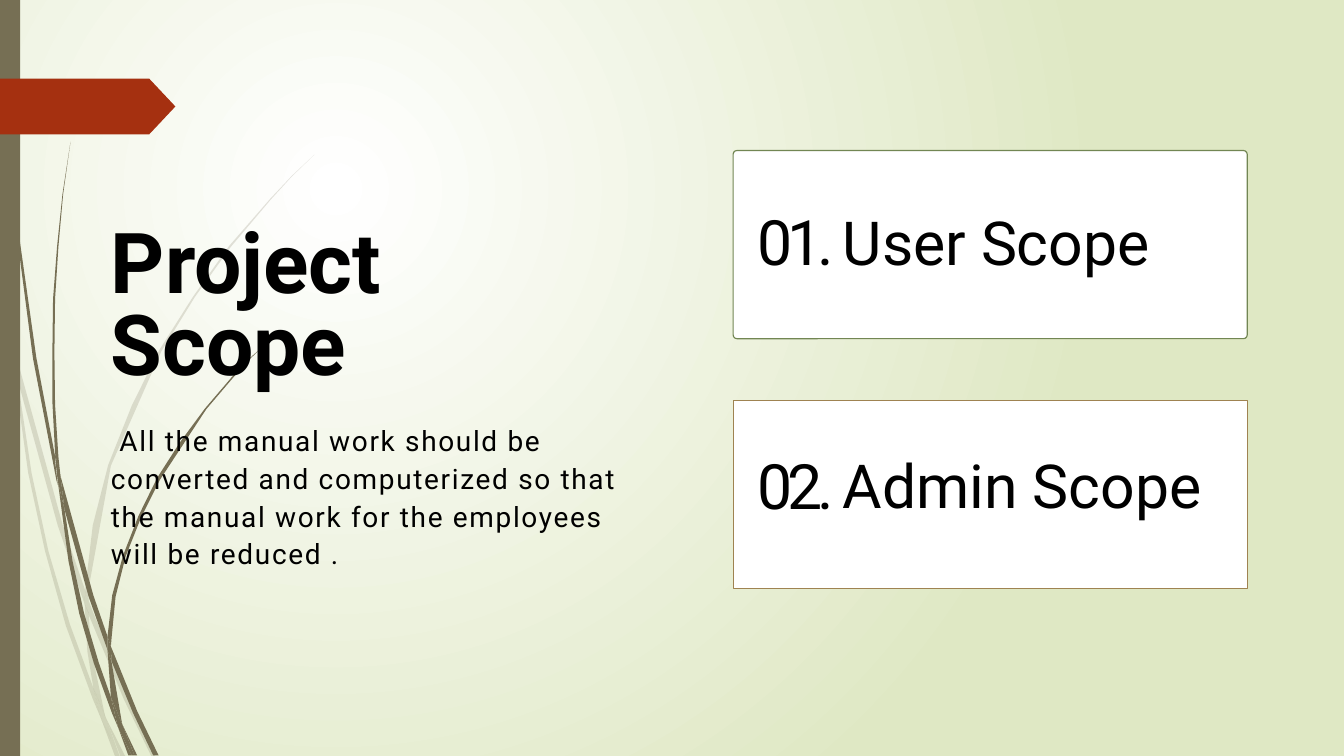
from lxml import etree
from pptx import Presentation
from pptx import util as u
from pptx.dml.color import RGBColor
from pptx.enum import shapes, text
from pptx.oxml.ns import qn

WHITE = RGBColor(0xFF, 0xFF, 0xFF)
BLACK = RGBColor(0x00, 0x00, 0x00)
PALE_GREEN = RGBColor(0xDF, 0xE8, 0xC4)
OLIVE = RGBColor(0x76, 0x6F, 0x54)
RUST = RGBColor(0xA5, 0x30, 0x10)
GREEN_EDGE = RGBColor(0x72, 0x86, 0x53)
BROWN_EDGE = RGBColor(0x9F, 0x83, 0x51)

FONT = "Roboto"
COLS, ROWS = 20, 11.25  # grid of the slide

# Outlines of the grass blades, "column,row" points on the grid
FAINT_BLADES = [
    "0.17,5.25 0.13,4.83 0,4.22 0,4.49 0.15,5.16",
    "0.86,7.82 1.26,8.99 1.27,8.79 0.93,7.8 0.21,5.18 0.26,5.64",
    "1.38,9.1 1.32,8.94 1.32,9.15 1.84,10.4 2.25,11.25 2.31,11.25 1.91,10.37",
    "1.79,11.25 1.86,11.25 1.57,10.67",
    "1.39,10.24 1.04,9.29 0.72,8.2 0.47,7.04 0.26,5.64 0.17,5.25 0.42,7.04 "
    "0.67,8.2 0.98,9.31 1.38,10.4 1.51,10.71 1.48,10.61",
    "1.26,8.99 1.3,9.69 1.39,10.24 1.45,10.38 1.57,10.67 1.55,10.59 1.36,9.68 "
    "1.32,9.15 1.32,9.12",
    "1.32,8.75 1.65,6.93 2.4,5.23 2.9,4.42 3.43,3.68 4.03,2.97 4.34,2.63 4.68,2.3 "
    "4.34,2.62 4.02,2.96 3.41,3.66 2.87,4.42 2.37,5.21 1.96,6.04 1.61,6.92 "
    "1.38,7.82 1.27,8.75 1.27,8.79 1.32,8.94",
    "1.51,10.71 1.71,11.25 1.78,11.25",
    "1.32,9.13 1.32,9.16 1.32,8.94 1.27,8.79 1.26,8.99",
    "1.45,10.38 1.39,10.24 1.48,10.61 1.51,10.71 1.78,11.25 1.57,10.67",
]
DARK_BLADES = [
    "0.1,1.65 0.25,3.49 0.49,5.33 0.84,7.15 0.86,7.22 0.82,6.86 0.82,6.79 "
    "0.54,5.32 0.28,3.48 0.12,1.64 0.07,0.72 0.05,0 0.04,0 0.05,0.72",
    "1.32,8.88 1.6,9.67 1.6,9.5 1.6,9.47 1.39,8.86 0.9,7.08 0.96,7.58",
    "1.7,9.74 1.65,9.62 1.66,9.84 1.98,10.61 2.28,11.24 2.36,11.24 2.04,10.58",
    "1.65,10.37 1.47,9.86 1.25,9.12 1.08,8.35 0.96,7.58 0.86,7.16 1.02,8.35 "
    "1.18,9.13 1.4,9.88 1.67,10.62 1.76,10.83 1.74,10.76",
    "0.9,7.08 0.87,6.8 0.82,6.02 0.81,5.24 0.82,4.45 0.87,3.67 0.94,2.89 1.05,2.11 "
    "0.93,2.89 0.85,3.67 0.79,4.45 0.78,5.24 0.78,5.98 0.82,6.74 0.89,7.07",
    "2,11.24 2.04,11.24 1.82,10.78",
    "0.86,7.16 0.96,7.58 0.9,7.08 0.82,6.74 0.82,6.8",
    "1.66,9.5 1.72,8.88 1.87,8.28 2.1,7.7 2.38,7.14 3.07,6.09 3.47,5.62 3.68,5.38 "
    "3.91,5.16 3.67,5.37 3.46,5.6 3.05,6.08 2.68,6.58 2.34,7.11 2.06,7.68 "
    "1.83,8.27 1.67,8.86 1.6,9.47 1.65,9.62",
    "1.76,10.83 1.91,11.24 1.96,11.24",
    "1.6,9.67 1.65,10.37 1.74,10.59 1.82,10.78 1.81,10.73 1.66,9.85 1.63,9.76",
    "1.6,9.67 1.63,9.76 1.66,9.84 1.65,9.62 1.6,9.47 1.6,9.5",
    "1.74,10.59 1.65,10.37 1.74,10.76 1.76,10.83 1.96,11.24 2,11.24 1.82,10.78",
]


class Deck:
    """Holds the style and the current slide."""

    def __init__(self):
        self.prs = Presentation()
        self.prs.slide_width = u.Inches(20)
        self.prs.slide_height = u.Inches(11.25)
        self.s = self.prs.slides.add_slide(self.prs.slide_layouts[6])

    def x(self, cols):
        return round(self.prs.slide_width * cols / COLS)

    def y(self, rows):
        return round(self.prs.slide_height * rows / ROWS)

    def box(self, left, top, width, height):
        return self.x(left), self.y(top), self.x(width), self.y(height)

    def background(self, inner, outer):
        fill = self.s.background.fill
        fill.gradient()
        for stop, color in zip(fill.gradient_stops, (inner, outer)):
            stop.color.rgb = color
        grad = next(self.s.element.iter(qn("a:gradFill")))
        grad.remove(grad.find(qn("a:lin")))
        circle = etree.SubElement(grad, qn("a:path"), path="circle")
        etree.SubElement(circle, qn("a:fillToRect"),
                         l="50000", t="50000", r="100000", b="100000")

    def paint(self, sp, fill, line=None, alpha=None):
        sp.shadow.inherit = False
        sp.fill.solid()
        sp.fill.fore_color.rgb = fill
        if alpha:
            color = next(sp.element.spPr.iter(qn("a:srgbClr")))
            etree.SubElement(color, qn("a:alpha"), val=str(alpha * 1000))
        if line:
            sp.line.color.rgb = line
            sp.line.width = u.Pt(1.25)
        else:
            sp.line.fill.background()

    def shape(self, kind, area, fill, line=None, adjust=None):
        sp = self.s.shapes.add_shape(kind, *self.box(*area))
        if adjust is not None:
            sp.adjustments[0] = adjust
        self.paint(sp, fill, line)

    def blade(self, outline, alpha=None):
        pairs = [point.split(",") for point in outline.split()]
        points = [(self.x(float(a)), self.y(float(b))) for a, b in pairs]
        builder = self.s.shapes.build_freeform(*points[0])
        builder.add_line_segments(points[1:], close=True)
        self.paint(builder.convert_to_shape(), OLIVE, alpha=alpha)

    def text(self, words, area, size, leading, bold=False, spacing=0, indent=0):
        tf = self.s.shapes.add_textbox(*self.box(*area)).text_frame
        tf.margin_left = tf.margin_right = tf.margin_top = tf.margin_bottom = 0
        tf.word_wrap = True
        tf.auto_size = text.MSO_AUTO_SIZE.SHAPE_TO_FIT_TEXT
        p = tf.paragraphs[0]
        p.line_spacing = u.Pt(leading)
        if indent:
            p._p.get_or_add_pPr().set("indent", str(u.Pt(indent)))
        r = p.add_run()
        r.text = words
        r.font.name, r.font.size, r.font.bold = FONT, u.Pt(size), bold
        r.font.color.rgb = BLACK
        if spacing:
            r.font._element.set("spc", str(round(spacing * 100)))


def main():
    deck = Deck()
    kinds = shapes.MSO_SHAPE

    # Backdrop: gradient, grass, side bar and arrow tab
    deck.background(WHITE, PALE_GREEN)
    for outline in FAINT_BLADES:
        deck.blade(outline, alpha=20)
    for outline in DARK_BLADES:
        deck.blade(outline)
    deck.shape(kinds.RECTANGLE, (0, 0, 0.3, ROWS), OLIVE)
    deck.shape(kinds.PENTAGON, (0, 1.17, 2.61, 0.83), RUST, adjust=0.47)

    # Title and description
    deck.text("Project Scope", (1.65, 3.41, 7.68, 2.5), 90, 87.3, bold=True)
    deck.text("All the manual work should be converted and computerized so that "
              "the manual work for the employees will be reduced .",
              (1.65, 6.24, 7.68, 2.22), 30, 40.5, spacing=1.8, indent=9.2)

    # Scope cards: number and label
    cards = [
        ("01.", "User Scope", 2.24, 3.25, kinds.ROUNDED_RECTANGLE, GREEN_EDGE, 0.02),
        ("02.", "Admin Scope", 5.96, 6.88, kinds.RECTANGLE, BROWN_EDGE, None),
    ]
    for number, label, top, text_top, kind, edge, adjust in cards:
        deck.shape(kind, (10.91, top, 7.65, 2.8), WHITE, edge, adjust)
        deck.text(number, (11.28, text_top, 1.73, 0.94), 67, 64.3, spacing=-5.5)
        deck.text(label, (12.54, text_top, 6.02, 0.93), 65, 63)

    deck.prs.save("out.pptx")


if __name__ == "__main__":
    main()
